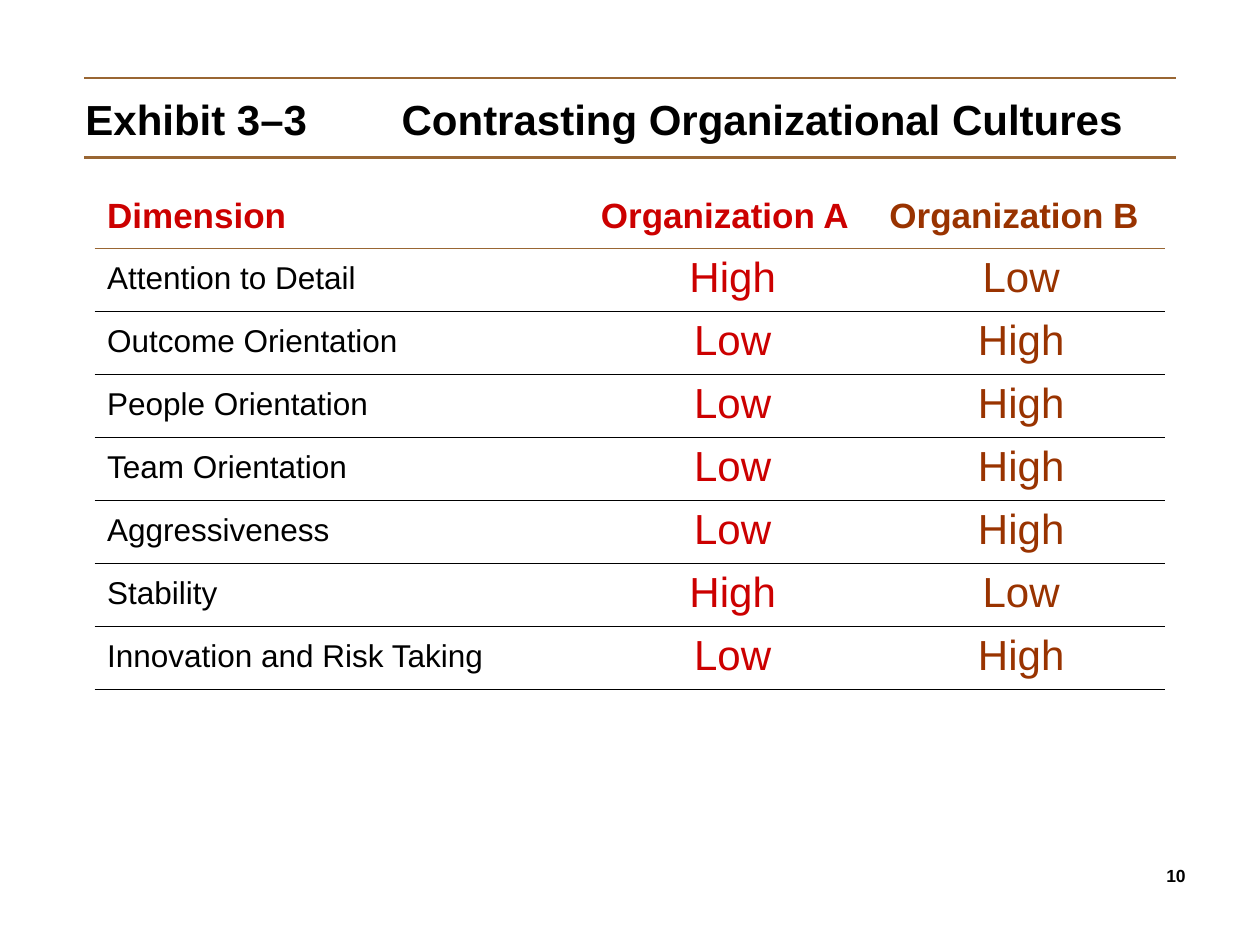
from lxml.etree import SubElement
from pptx import Presentation
from pptx.dml.color import RGBColor
from pptx.enum.shapes import MSO_CONNECTOR
from pptx.enum.text import MSO_ANCHOR as Anchor, PP_ALIGN as Align
from pptx.oxml.ns import qn
from pptx.util import Inches, Pt

BLACK, RED, RUST, BROWN = "000000", "CC0000", "993300", "996633"


def color(hex_string):
    return RGBColor.from_string(hex_string)


class SlideBuilder:
    font_name = "Arial"

    def __init__(self, slide):
        self.slide = slide

    def add_text_run(self, paragraph, text, size, hex_color, bold=False, align=Align.LEFT):
        paragraph.alignment = align
        run = paragraph.add_run()
        run.text = text
        run.font.name = self.font_name
        run.font.size = Pt(size)
        run.font.bold = bold
        run.font.color.rgb = color(hex_color)

    def text(self, left, top, width, height, text, size, margin=0.1,
             align=Align.LEFT, anchor=Anchor.TOP, tab=None):
        shape = self.slide.shapes.add_textbox(
            Inches(left), Inches(top), Inches(width), Inches(height))
        frame = shape.text_frame
        frame.word_wrap = True
        frame.vertical_anchor = anchor
        frame.margin_left = frame.margin_right = Inches(margin)
        paragraph = frame.paragraphs[0]
        if tab:
            tabs = SubElement(paragraph._p.get_or_add_pPr(), qn("a:tabLst"))
            SubElement(tabs, qn("a:tab"), pos=str(Inches(tab)), algn="l")
        self.add_text_run(paragraph, text, size, BLACK, True, align)

    def rule(self, left, right, y):
        line = self.slide.shapes.add_connector(
            MSO_CONNECTOR.STRAIGHT, Inches(left), Inches(y), Inches(right), Inches(y))
        line.line.color.rgb = color(BROWN)
        line.line.width = Pt(1.5)
        SubElement(line._element.spPr, qn("a:effectLst"))

    def borders(self, cell, top, bottom):
        properties = cell._tc.get_or_add_tcPr()
        sides = {"a:lnL": None, "a:lnR": None, "a:lnT": top, "a:lnB": bottom}
        for tag, style in sides.items():
            border = SubElement(properties, qn(tag))
            if style is None:
                SubElement(border, qn("a:noFill"))
                continue
            hex_color, width = style
            border.set("w", str(Pt(width)))
            fill = SubElement(border, qn("a:solidFill"))
            SubElement(fill, qn("a:srgbClr"), val=hex_color)

    def table(self, left, top, widths, heights, rows):
        frame = self.slide.shapes.add_table(
            len(rows), len(widths), Inches(left), Inches(top),
            Inches(sum(widths)), Inches(sum(heights)))
        table = frame.table
        table.first_row = table.horz_banding = False
        for column, width in zip(table.columns, widths):
            column.width = Inches(width)
        for row, height in zip(table.rows, heights):
            row.height = Inches(height)

        header_line, row_line = (BROWN, 0.5), (BLACK, 0.23)
        for i, values in enumerate(rows):
            above = [None, header_line][i] if i < 2 else row_line
            below = row_line if i else header_line
            for j, value in enumerate(values):
                cell = table.cell(i, j)
                self.borders(cell, above, below)
                cell.fill.background()
                paragraph = cell.text_frame.paragraphs[0]
                paragraph.line_spacing = 0.93
                hex_color = (BLACK if i else RED, RED, RUST)[j]
                if i == 0:
                    self.add_text_run(paragraph, value, 20, hex_color, True)
                    continue
                cell.vertical_anchor = Anchor.MIDDLE
                self.add_text_run(paragraph, value, 24 if j else 18, hex_color,
                                  align=Align.CENTER if j else Align.LEFT)


def main():
    presentation = Presentation()
    presentation.slide_width, presentation.slide_height = Inches(10), Inches(7.5)
    builder = SlideBuilder(presentation.slides.add_slide(presentation.slide_layouts[6]))

    # Title between two rules
    builder.text(0.58, 0.69, 8.83, 0.5,
                 "Exhibit 3–3\tContrasting Organizational Cultures", 24, tab=2.51)
    for y in (0.62, 1.25):
        builder.rule(0.67, 9.33, y)

    # Comparison of the two organizations
    rows = [
        ("Dimension", "Organization A", "Organization B"),
        ("Attention to Detail", "High", "Low"),
        ("Outcome Orientation", "Low", "High"),
        ("People Orientation", "Low", "High"),
        ("Team Orientation", "Low", "High"),
        ("Aggressiveness", "Low", "High"),
        ("Stability", "High", "Low"),
        ("Innovation and Risk Taking", "Low", "High"),
    ]
    heights = [0.44] + [0.5] * (len(rows) - 1)
    builder.table(0.75, 1.53, [3.92, 2.29, 2.29], heights, rows)

    # Slide number
    builder.text(7, 6.58, 2.41, 0.5, "10", 10, margin=0,
                 align=Align.RIGHT, anchor=Anchor.BOTTOM)

    presentation.save("out.pptx")


if __name__ == "__main__":
    main()
